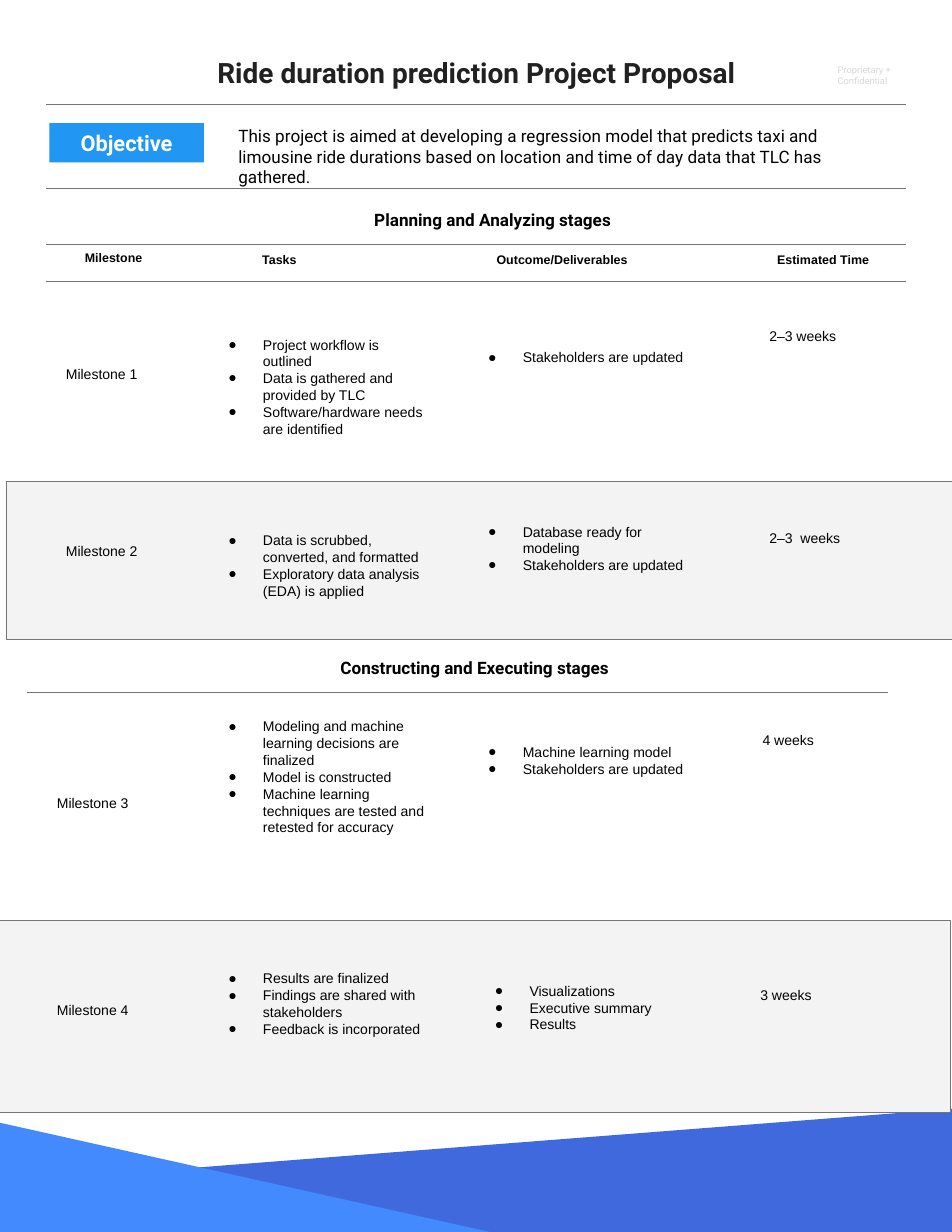
from lxml.etree import SubElement
from pptx import Presentation
from pptx.dml.color import RGBColor
from pptx.enum.shapes import MSO_CONNECTOR, MSO_SHAPE
from pptx.enum.text import MSO_ANCHOR, PP_ALIGN
from pptx.oxml.ns import qn
from pptx.util import Inches, Pt

COLORS = {
    "black": "000000",
    "title": "212121",
    "white": "FFFFFF",
    "label": "D9D9D9",
    "rule": "757575",
    "badge": "2196F3",
    "band": "F3F3F3",
    "wave_dark": "4069DD",
    "wave_light": "448AFF",
}

WAVES = [
    ("wave_dark", [(8.52, 11.07), (8.51, 9.9), (0.02, 10.56), (0.03, 11)]),
    ("wave_light", [(4.42, 11.01), (-0.02, 10.02), (-0.01, 11.04)]),
]

# left, top, width, text
HEADERS = [
    (0.55, 2.17, 0.93, "Milestone"),
    (2.03, 2.18, 0.93, "Tasks"),
    (4.33, 2.18, 1.38, "Outcome/Deliverables"),
    (6.66, 2.18, 1.38, "Estimated Time"),
]

# Each cell: left, top, text or list of bullets
MILESTONES = [
    [(0.49, 3.19, "Milestone 1"),
     (1.75, 2.9, ["Project workflow is outlined",
                  "Data is gathered and provided by TLC",
                  "Software/hardware needs are identified"]),
     (4.07, 3.04, ["Stakeholders are updated"]),
     (6.77, 2.85, "2–3 weeks")],
    [(0.49, 4.77, "Milestone 2"),
     (1.75, 4.65, ["Data is scrubbed, converted, and formatted",
                   "Exploratory data analysis (EDA) is applied"]),
     (4.07, 4.57, ["Database ready for modeling",
                   "Stakeholders are updated"]),
     (6.77, 4.65, "2–3  weeks")],
    [(0.41, 7.02, "Milestone 3"),
     (1.75, 6.31, ["Modeling and machine learning decisions are finalized",
                   "Model is constructed",
                   "Machine learning techniques are tested and retested for accuracy"]),
     (4.07, 6.54, ["Machine learning model", "Stakeholders are updated"]),
     (6.71, 6.46, "4 weeks")],
    [(0.41, 8.87, "Milestone 4"),
     (1.75, 8.56, ["Results are finalized",
                   "Findings are shared with stakeholders",
                   "Feedback is incorporated"]),
     (4.13, 8.67, ["Visualizations", "Executive summary", "Results"]),
     (6.69, 8.73, "3 weeks")],
]
CELL_WIDTHS = [1.04, 2.17, 2.17, 1.38]


def rgb(name):
    return RGBColor.from_string(COLORS[name])


def add_bullet(p):
    pPr = p._p.get_or_add_pPr()
    pPr.set("marL", str(Inches(0.5)))
    pPr.set("indent", str(Inches(-0.31)))
    clr = SubElement(pPr, qn("a:buClr"))
    SubElement(clr, qn("a:srgbClr")).set("val", COLORS["black"])
    SubElement(pPr, qn("a:buFont")).set("typeface", "Arial")
    SubElement(pPr, qn("a:buChar")).set("char", "●")


def write(tf, text, size=9, font="Arial", color="black", bold=False,
          align=PP_ALIGN.LEFT, spacing=None, margin=0.1):
    """Fill a frame with one paragraph, or with bullets when text is a list."""
    tf.word_wrap = True
    tf.margin_left = tf.margin_right = Inches(margin)
    tf.margin_top = tf.margin_bottom = Inches(margin)
    bulleted = isinstance(text, list)
    for i, line in enumerate(text if bulleted else [text]):
        p = tf.add_paragraph() if i else tf.paragraphs[0]
        p.alignment = align
        if spacing:
            p.line_spacing = spacing
        if bulleted:
            add_bullet(p)
        r = p.add_run()
        r.text = line
        r.font.size = Pt(size)
        r.font.name = font
        r.font.bold = bold
        r.font.color.rgb = rgb(color)


def add_text(s, left, top, width, height, text, **fmt):
    sp = s.shapes.add_textbox(Inches(left), Inches(top), Inches(width), Inches(height))
    write(sp.text_frame, text, **fmt)


def paint(sp, fill, line=None):
    sp.shadow.inherit = False
    sp.fill.solid()
    sp.fill.fore_color.rgb = rgb(fill)
    if line:
        sp.line.color.rgb = rgb(line)
        sp.line.width = Pt(0.75)
    else:
        sp.line.fill.background()


def add_rect(s, left, top, width, height, fill, line=None):
    sp = s.shapes.add_shape(MSO_SHAPE.RECTANGLE, Inches(left), Inches(top),
                            Inches(width), Inches(height))
    paint(sp, fill, line)
    return sp


def add_rule(s, y, left=0.41, right=8.09):
    line = s.shapes.add_connector(MSO_CONNECTOR.STRAIGHT, Inches(left), Inches(y),
                                  Inches(right), Inches(y))
    line.line.color.rgb = rgb("rule")
    line.line.width = Pt(0.75)
    SubElement(line._element.spPr, qn("a:effectLst"))


def add_wave(s, fill, points):
    start, *rest = [(Inches(x), Inches(y)) for x, y in points]
    builder = s.shapes.build_freeform(*start)
    builder.add_line_segments(rest, close=True)
    paint(builder.convert_to_shape(), fill)


def add_stage_heading(s, left, top, text):
    add_text(s, left, top, 3.46, 0.41, text, size=11, font="Roboto", bold=True,
             align=PP_ALIGN.CENTER)


def add_milestone(s, cells):
    for (left, top, text), width in zip(cells, CELL_WIDTHS):
        lines = len(text) if isinstance(text, list) else 1
        add_text(s, left, top, width, 0.2 + 0.15 * lines, text)


def main():
    prs = Presentation()
    prs.slide_width, prs.slide_height = Inches(8.5), Inches(11)
    s = prs.slides.add_slide(prs.slide_layouts[6])

    add_text(s, 7.38, 0.47, 1.12, 0.65, "Proprietary + Confidential", size=6,
             font="Roboto", color="label")
    for fill, points in WAVES:
        add_wave(s, fill, points)

    add_text(s, 1.21, 0.42, 6.15, 0.71, "Ride duration prediction Project Proposal ",
             size=18, font="Roboto", color="title", bold=True,
             align=PP_ALIGN.CENTER, spacing=0.95)
    for y in (0.93, 1.68, 2.18, 2.51):
        add_rule(s, y)
    add_rule(s, 6.18, 0.24, 7.93)

    badge = add_rect(s, 0.44, 1.1, 1.38, 0.35, "badge")
    badge.text_frame.vertical_anchor = MSO_ANCHOR.MIDDLE
    write(badge.text_frame, "Objective", size=14, font="Roboto", color="white",
          bold=True, align=PP_ALIGN.CENTER, margin=0.07)
    add_text(s, 2.03, 1.02, 6.06, 0.52,
             "This project is aimed at developing a regression model that predicts "
             "taxi and limousine ride durations based on location and time of day "
             "data that TLC has gathered.", size=11, font="Roboto")

    add_stage_heading(s, 2.51, 5.78, "Constructing and Executing stages")
    add_stage_heading(s, 2.67, 1.78, "Planning and Analyzing stages")
    for left, top, width, text in HEADERS:
        add_text(s, left, top, width, 0.34, text, size=8, bold=True,
                 align=PP_ALIGN.CENTER)

    add_rect(s, 0.06, 4.3, 8.5, 1.41, "band", "rule")
    add_rect(s, -0.01, 8.22, 8.5, 1.71, "band", "rule")
    for cells in MILESTONES:
        add_milestone(s, cells)

    prs.save("out.pptx")


if __name__ == "__main__":
    main()
